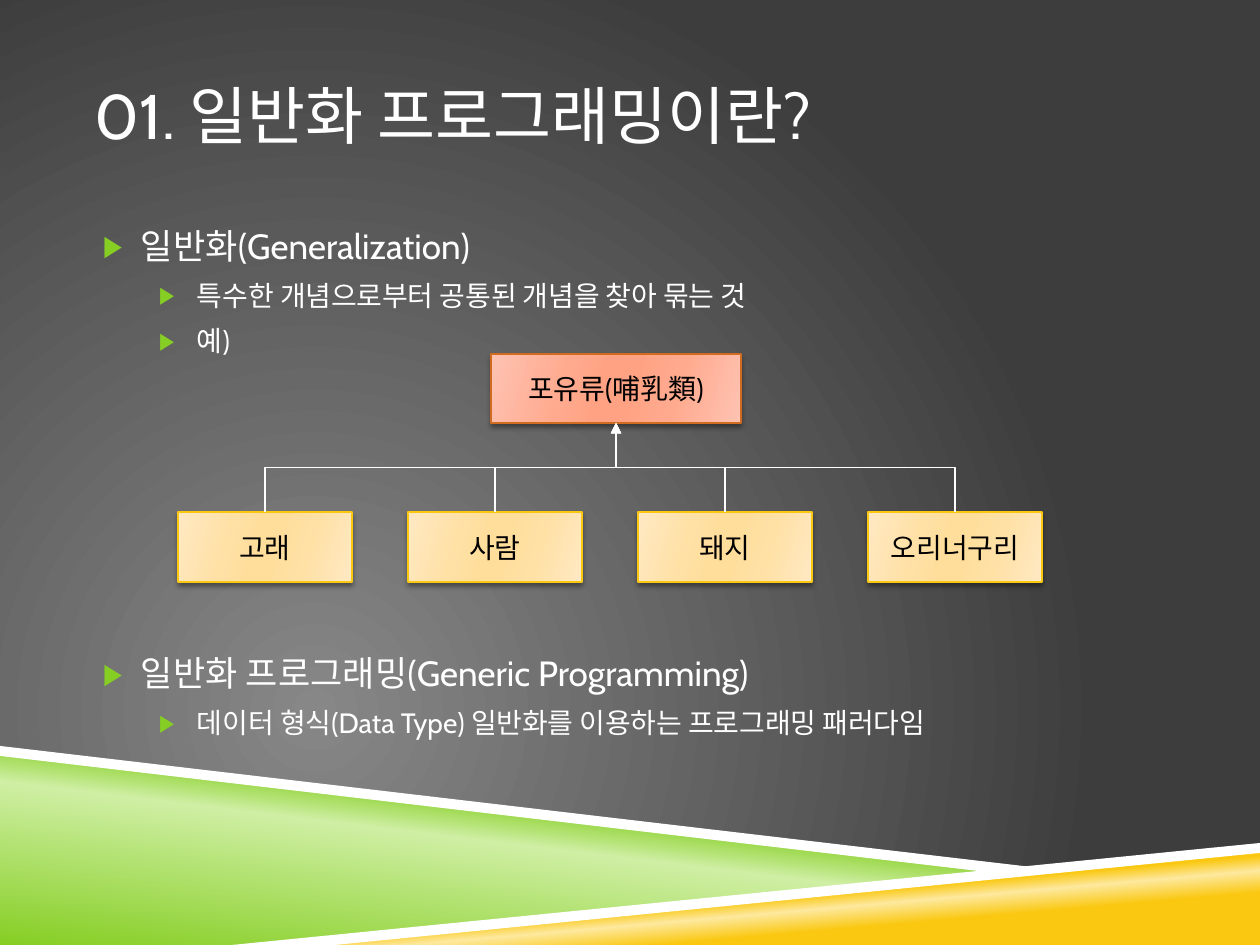
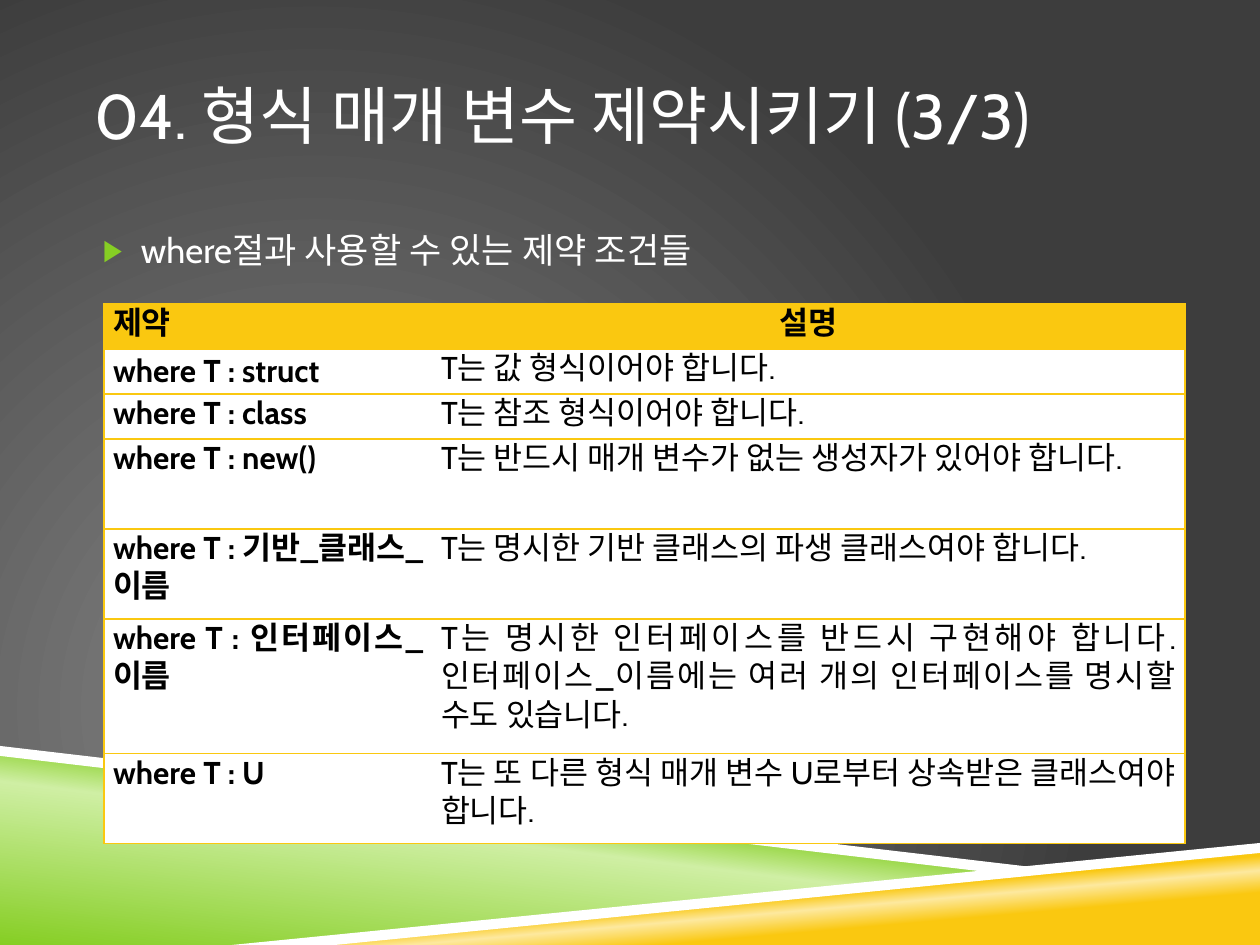
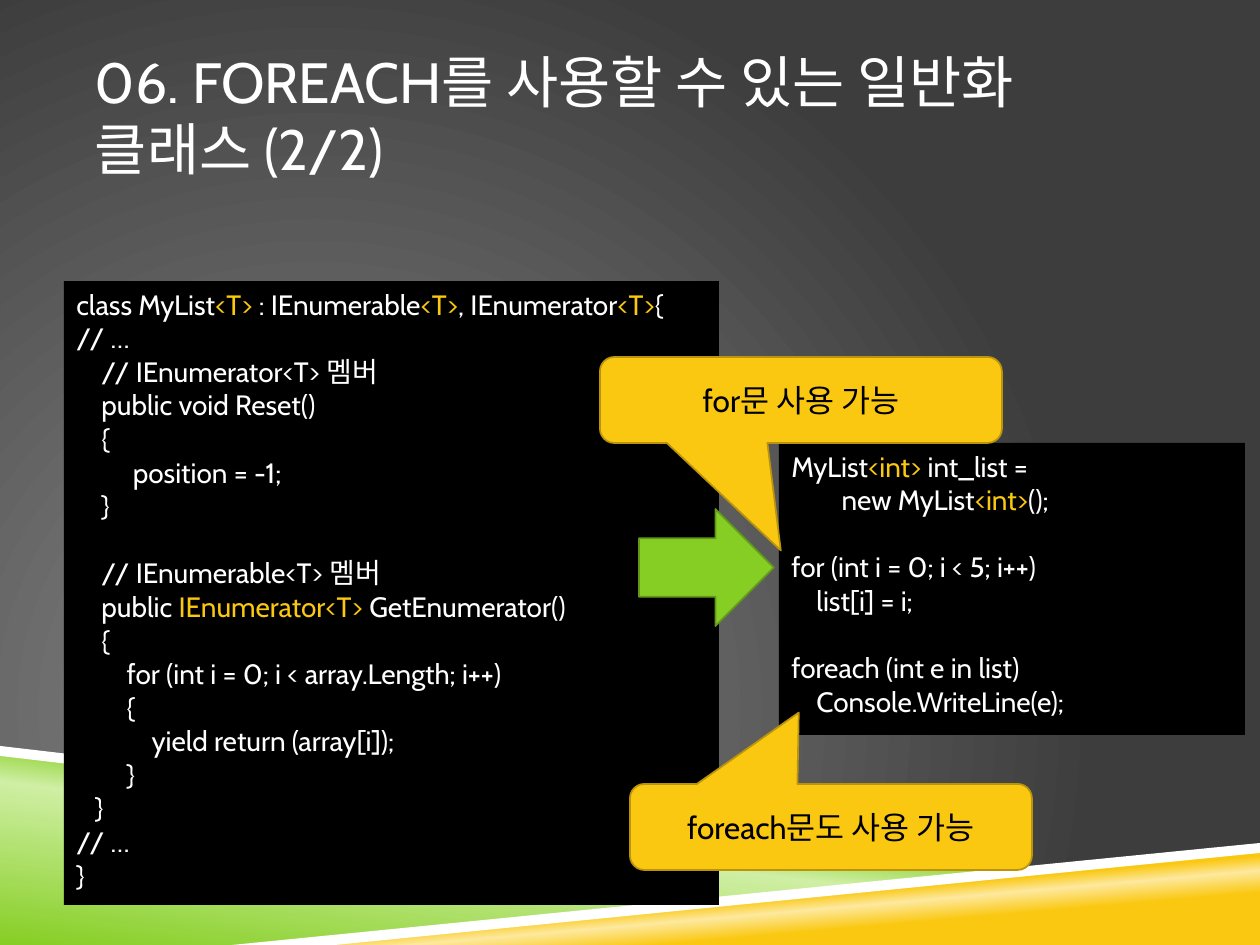
"""Builds three slides on generic programming, with a shared master design."""
import pptx
import pptx.util
import pptx.oxml
import pptx.oxml.ns
import pptx.dml.color
import pptx.enum.dml
import pptx.enum.shapes
import pptx.enum.text
from lxml import etree

RGB = pptx.dml.color.RGBColor
Pt = pptx.util.Pt
qn = pptx.oxml.ns.qn
SHAPE = pptx.enum.shapes.MSO_SHAPE
ALIGN = pptx.enum.text.PP_ALIGN
ANCHOR = pptx.enum.text.MSO_ANCHOR

WHITE = RGB(0xFF, 0xFF, 0xFF)
BLACK = RGB(0, 0, 0)
GREEN = RGB(0x86, 0xCE, 0x24)
DARK_GREEN = RGB(0x63, 0x98, 0x1B)
PALE_GREEN = RGB(0xCF, 0xEF, 0xA4)
YELLOW = RGB(0xFA, 0xC8, 0x10)
DARK_YELLOW = RGB(0xB9, 0x94, 0x0C)
PALE_YELLOW = RGB(0xFD, 0xE9, 0x9F)
ORANGE = RGB(0xD0, 0x6B, 0x20)
GREY = RGB(0x87, 0x87, 0x87)
DARK_GREY = RGB(0x3D, 0x3D, 0x3D)
CREAM = [RGB(0xFF, 0xE9, 0xC3), RGB(0xFF, 0xE1, 0xA6), RGB(0xFF, 0xDE, 0x9C)]
SALMON = [RGB(0xFE, 0xC3, 0xB2), RGB(0xFF, 0xAA, 0x8F), RGB(0xFF, 0xA2, 0x83)]

FONT = "Cabin"
EMU_PER_PX = 914400 / 126
LINE_SPACING = 0.98
CODE_PITCH = Pt(19.2)


def px(length):
    return pptx.util.Emu(round(length * EMU_PER_PX))


def box(*lengths):
    return [px(length) for length in lengths]


def add(parent, tag, **attributes):
    child = etree.SubElement(parent, qn(tag))
    for key, value in attributes.items():
        child.set(key, str(value))
    return child


def gradient(fill, element, stops, angle=None):
    fill.gradient()
    shade = element.find(".//" + qn("a:gradFill"))
    for child in list(shade):
        shade.remove(child)
    stop_list = add(shade, "a:gsLst")
    for position, color in stops:
        add(add(stop_list, "a:gs", pos=position * 1000), "a:srgbClr", val=color)
    if angle is None:
        circle = add(shade, "a:path", path="circle")
        add(circle, "a:fillToRect", l=50000, t=100000, r=100000, b=50000)
    else:
        add(shade, "a:lin", ang=angle * 60000, scaled=0)


class Deck:
    """Holds the style and the current slide."""

    def __init__(self):
        self.prs = pptx.Presentation()
        self.prs.slide_width, self.prs.slide_height = box(1260, 945)
        self.slide = None

    def start(self, title, layout=1, size=36):
        self.slide = self.prs.slides.add_slide(self.prs.slide_layouts[layout])
        if len(self.prs.slides) == 1:
            self.decorate_master()
        frame = self.placeholder(self.slide.shapes.title, 95, 38, 1071, 158)
        frame.vertical_anchor = ANCHOR.MIDDLE
        frame.text = title
        heading = frame.paragraphs[0]
        heading.line_spacing = LINE_SPACING
        self.style(heading, size, WHITE, ALIGN.LEFT)

    def decorate_master(self):
        master = self.prs.slide_master
        gradient(master.background.fill, master.element, [(0, GREY), (100, DARK_GREY)])
        bands = [
            ([(0, 752), (998, 872), (252, 945), (0, 945)],
             [(0, GREEN), (52, PALE_GREEN), (66, GREEN)], 277),
            ([(249, 945), (1260, 847), (1260, 945)],
             [(28, YELLOW), (40, PALE_YELLOW), (48, YELLOW)], 265),
            ([(0, 746), (0, 756), (995, 873), (1048, 869)], None, None),
            ([(1260, 843), (232, 945), (335, 945), (1260, 853)], None, None),
        ]
        for number, (outline, stops, angle) in enumerate(bands, 101):
            builder = self.slide.shapes.build_freeform(*outline[0], scale=EMU_PER_PX)
            builder.add_line_segments(outline[1:])
            band = builder.convert_to_shape()
            self.paint(band, WHITE)
            if stops:
                gradient(band.fill, band.element, stops, angle)
            band.element.nvSpPr.cNvPr.id = number
            master.shapes.element.append(band.element)

    def placeholder(self, holder, *place):
        holder.left, holder.top, holder.width, holder.height = box(*place)
        frame = holder.text_frame
        frame.word_wrap = True
        frame.auto_size = pptx.enum.text.MSO_AUTO_SIZE.NONE
        frame.margin_left = frame.margin_right = 0
        return frame

    def style(self, paragraph, size, color, align, bold=False):
        paragraph.alignment = align
        paragraph.font.name = FONT
        paragraph.font.size = Pt(size)
        paragraph.font.bold = bold
        paragraph.font.color.rgb = color
        add(paragraph._p.pPr.find(qn("a:defRPr")), "a:ea", typeface=FONT)

    def paint(self, shape, fill, line=None, width=1):
        shape.shadow.inherit = False
        shape.fill.solid()
        shape.fill.fore_color.rgb = fill
        if line is None:
            shape.line.fill.background()
        else:
            shape.line.color.rgb = line
            shape.line.width = Pt(width)

    def bullets(self, top, height, points):
        frame = self.placeholder(self.slide.placeholders[1], 95, top, 1071, height)
        for index, (level, text, gap) in enumerate(points):
            point = frame.paragraphs[0] if index == 0 else frame.add_paragraph()
            point.text = text
            point.level = level
            point.line_spacing = LINE_SPACING
            point.space_before = Pt(gap)
            properties = point._p.get_or_add_pPr()
            properties.set("marL", str(px(46 + 56 * level)))
            properties.set("indent", str(px(-38)))
            add(add(properties, "a:buClr"), "a:srgbClr", val=GREEN)
            add(properties, "a:buSzPct", val=85000)
            add(properties, "a:buChar", char="▶")
            self.style(point, 20 - 4 * level, WHITE, ALIGN.LEFT)

    def shape(self, kind, place, fill, line=None, text="", size=18, width=1):
        shape = self.slide.shapes.add_shape(kind, *box(*place))
        self.paint(shape, fill, line, width)
        if text:
            shape.text_frame.text = text
            shape.text_frame.vertical_anchor = ANCHOR.MIDDLE
            self.style(shape.text_frame.paragraphs[0], size, BLACK, ALIGN.CENTER)
        return shape

    def concept(self, text, place, shades, line):
        concept = self.shape(SHAPE.RECTANGLE, place, shades[0], line, text, 16, 0.75)
        ramp = zip((0, 30, 45, 55, 73, 100), shades + shades[::-1])
        gradient(concept.fill, concept.element, ramp, 16)
        effects = concept.element.spPr.find(qn("a:effectLst"))
        shadow = add(effects, "a:outerShdw", blurRad=Pt(3), dist=Pt(2),
                     dir=90 * 60000, rotWithShape=0)
        add(add(shadow, "a:srgbClr", val=BLACK), "a:alpha", val=40000)
        return concept

    def inherit(self, child, parent):
        begin_x = child.left + child.width // 2
        end_x = parent.left + parent.width // 2
        begin_y, end_y = child.top, parent.top + parent.height
        link = self.slide.shapes.add_connector(
            pptx.enum.shapes.MSO_CONNECTOR.ELBOW, begin_x, begin_y, end_x, end_y)
        link.begin_connect(child, 0)
        link.end_connect(parent, 2)
        middle_x, middle_y = (begin_x + end_x) // 2, (begin_y + end_y) // 2
        half_rise, half_run = (begin_y - end_y) // 2, abs(end_x - begin_x) // 2
        side = 1 if begin_x < end_x else -1
        link.begin_x, link.end_x = middle_x + side * half_rise, middle_x - side * half_rise
        link.begin_y, link.end_y = middle_y + half_run, middle_y - half_run
        link.rotation = 90 if side == 1 else 270
        link.line.color.rgb = WHITE
        link.line.width = Pt(0.75)
        add(link.element.spPr.find(qn("a:ln")), "a:tailEnd", type="triangle")
        add(link.element.spPr, "a:effectLst")

    def table(self, place, columns, line_counts, rows):
        table = self.slide.shapes.add_table(len(rows), len(columns), *box(*place)).table
        table.first_row = table.horz_banding = False
        for column, width in zip(table.columns, columns):
            column.width = px(width)
        for row_index, (row, count) in enumerate(zip(rows, line_counts)):
            table.rows[row_index].height = px(45 * count)
            for column_index, text in enumerate(row):
                self.cell(table.cell(row_index, column_index), text,
                          row_index == 0, column_index == 0)
        return table

    def cell(self, cell, text, is_header, is_first):
        cell.text = text
        cell.margin_left = cell.margin_right = px(9)
        cell.margin_top = cell.margin_bottom = 0
        align = ALIGN.CENTER if is_header and not is_first else ALIGN.JUSTIFY
        self.style(cell.text_frame.paragraphs[0], 18, BLACK, align, is_header or is_first)
        properties = cell._tc.get_or_add_tcPr()
        edges = [("a:lnL", is_first), ("a:lnR", not is_first), ("a:lnT", True), ("a:lnB", True)]
        for edge, visible in edges:
            border = add(properties, edge, w=Pt(0.75))
            if visible:
                add(add(border, "a:solidFill"), "a:srgbClr", val=YELLOW)
            else:
                add(border, "a:noFill")
        cell.fill.solid()
        cell.fill.fore_color.rgb = YELLOW if is_header else WHITE

    def code(self, place, lines):
        frame = self.shape(SHAPE.RECTANGLE, place, BLACK).text_frame
        frame.vertical_anchor = ANCHOR.TOP
        paragraph, gap = frame.paragraphs[0], 0
        for index, line in enumerate(lines):
            if not line:
                gap += CODE_PITCH
                continue
            if index:
                paragraph = frame.add_paragraph()
            paragraph.line_spacing = CODE_PITCH
            paragraph.space_before = pptx.util.Emu(gap)
            gap = 0
            self.style(paragraph, 16, WHITE, ALIGN.LEFT)
            for part, text in enumerate(line.split("|")):
                run = paragraph.add_run()
                run.text = text
                if part % 2:
                    run.font.color.rgb = YELLOW

    def callout(self, text, left, top, tip):
        callout = self.shape(SHAPE.ROUNDED_RECTANGULAR_CALLOUT, (left, top, 402, 86),
                             YELLOW, DARK_YELLOW, text)
        callout.adjustments[0], callout.adjustments[1] = tip


def generalization(deck):
    deck.start("01. 일반화 프로그래밍이란?")
    deck.bullets(220, 560, [
        (0, "일반화(Generalization)", 0),
        (1, "특수한 개념으로부터 공통된 개념을 찾아 묶는 것", 7),
        (1, "예)", 7),
        (0, "일반화 프로그래밍(Generic Programming)", 169),
        (1, "데이터 형식(Data Type) 일반화를 이용하는 프로그래밍 패러다임", 7),
    ])
    mammal = deck.concept("포유류(哺乳類)", (491, 354, 250, 69), SALMON, ORANGE)
    for index, name in enumerate(["고래", "사람", "돼지", "오리너구리"]):
        species = deck.concept(name, (178 + 230 * index, 512, 174, 70), CREAM, YELLOW)
        deck.inherit(species, mammal)


def constraints(deck):
    deck.start("04. 형식 매개 변수 제약시키기 (3/3)")
    deck.bullets(224, 570, [(0, "where절과 사용할 수 있는 제약 조건들", 0)])
    conditions = deck.table((104, 304, 1081, 540), (328, 753), (1, 1, 1, 2, 2, 3, 2), [
        ("제약", "설명"),
        ("where T : struct", "T는 값 형식이어야 합니다."),
        ("where T : class", "T는 참조 형식이어야 합니다."),
        ("where T : new()", "T는 반드시 매개 변수가 없는 생성자가 있어야 합니다."),
        ("where T : 기반_클래스_이름", "T는 명시한 기반 클래스의 파생 클래스여야 합니다."),
        ("where T : 인터페이스_이름",
         "T는 명시한 인터페이스를 반드시 구현해야 합니다. "
         "인터페이스_이름에는 여러 개의 인터페이스를 명시할 수도 있습니다."),
        ("where T : U", "T는 또 다른 형식 매개 변수 U로부터 상속받은 클래스여야 합니다."),
    ])
    conditions.cell(1, 0).vertical_anchor = ANCHOR.MIDDLE


def enumeration(deck):
    deck.start("06. FOREACH를 사용할 수 있는 일반화 클래스 (2/2)", 5, 32.4)
    deck.code((64, 281, 655, 624), [
        "class MyList|<T>| : IEnumerable|<T>|, IEnumerator|<T>|{",
        "// …",
        "    // IEnumerator<T> 멤버",
        "    public void Reset()",
        "    {",
        "         position = -1;",
        "    }",
        "",
        "    // IEnumerable<T> 멤버",
        "    public |IEnumerator<T> |GetEnumerator()",
        "    {",
        "        for (int i = 0; i < array.Length; i++)",
        "        {",
        "            yield return (array[i]);",
        "        }",
        "   }",
        "// …",
        "}",
    ])
    deck.code((779, 443, 466, 292), [
        "MyList|<int> |int_list =",
        "        new MyList|<int>|();",
        "",
        "for (int i = 0; i < 5; i++)",
        "    list[i] = i;",
        "",
        "foreach (int e in list)",
        "    Console.WriteLine(e);",
    ])
    deck.shape(SHAPE.RIGHT_ARROW, (639, 509, 135, 117), GREEN, DARK_GREEN)
    deck.callout("for문 사용 가능", 600, 357, (-0.05, 1.75))
    deck.callout("foreach문도 사용 가능", 630, 784, (-0.08, -1.33))


def main():
    deck = Deck()
    generalization(deck)
    constraints(deck)
    enumeration(deck)
    deck.prs.save("out.pptx")


if __name__ == "__main__":
    main()
